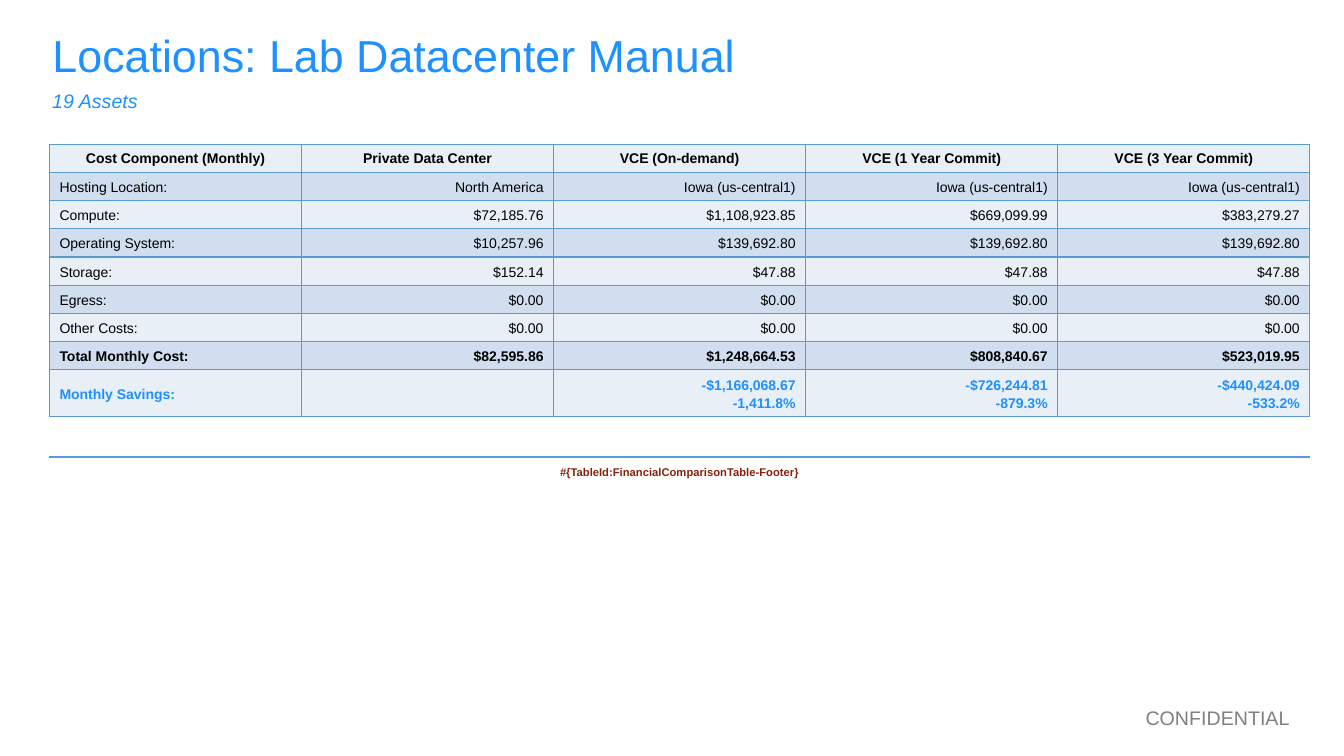
from lxml.etree import SubElement
from pptx import Presentation
from pptx.dml.color import RGBColor
from pptx.enum.text import MSO_ANCHOR, MSO_AUTO_SIZE, PP_ALIGN
from pptx.oxml.ns import qn
from pptx.util import Inches, Pt

BLUE = RGBColor(0x1E, 0x90, 0xFF)
BLACK = RGBColor(0x00, 0x00, 0x00)
WHITE = RGBColor(0xFF, 0xFF, 0xFF)
GRAY = RGBColor(0x80, 0x80, 0x80)
BROWN = RGBColor(0x85, 0x20, 0x0C)
BORDER = RGBColor(0x5B, 0x9B, 0xD5)
BANDS = [RGBColor(0xE9, 0xEF, 0xF7), RGBColor(0xD0, 0xDE, 0xEF)]
NO_STYLE = "{2D5ABB26-0587-4C30-8999-92F81FD0307C}"

ROW_H, SAVINGS_H, GAP_H, COL_W = 0.28, 0.46, 0.4, 2.5
COSTS = [
    ["Cost Component (Monthly)", "Private Data Center", "VCE (On-demand)",
     "VCE (1 Year Commit)", "VCE (3 Year Commit)"],
    ["Hosting Location:", "North America"] + ["Iowa (us-central1)"] * 3,
    ["Compute:", "$72,185.76", "$1,108,923.85", "$669,099.99", "$383,279.27"],
    ["Operating System:", "$10,257.96"] + ["$139,692.80"] * 3,
    ["Storage:", "$152.14"] + ["$47.88"] * 3,
    ["Egress:"] + ["$0.00"] * 4,
    ["Other Costs:"] + ["$0.00"] * 4,
    ["Total Monthly Cost:", "$82,595.86", "$1,248,664.53", "$808,840.67", "$523,019.95"],
    ["Monthly Savings:", "", "-$1,166,068.67\n-1,411.8%", "-$726,244.81\n-879.3%",
     "-$440,424.09\n-533.2%"],
]
TOTAL_ROW, SAVINGS_ROW = 7, 8
TABLE_NOTE = "#{TableId:FinancialComparisonTable-Footer}"


def format_text(tf, size, color, align=PP_ALIGN.LEFT, bold=False, italic=False, spacing=1.0):
    for p in tf.paragraphs:
        p.alignment = align
        p.line_spacing = spacing
        for r in p.runs:
            font = r.font
            font.name, font.size, font.bold, font.italic = "Arial", Pt(size), bold, italic
            font.color.rgb = color


def fill_text(sp, box, text, inset, size, color, **style):
    sp.left, sp.top, sp.width, sp.height = [Inches(v) for v in box]
    tf = sp.text_frame
    tf.text = text
    tf.word_wrap = True
    tf.auto_size = MSO_AUTO_SIZE.NONE
    tf.vertical_anchor = MSO_ANCHOR.TOP
    tf.margin_left = tf.margin_right = Inches(0.1)
    tf.margin_top = tf.margin_bottom = Inches(inset)
    format_text(tf, size, color, **style)


def add_heading(slide, left, top, width):
    # Title and the asset count beneath it
    fill_text(slide.shapes.title, (left, top, width, 0.88),
              "Locations: Lab Datacenter Manual", 0.1, 32, BLUE)
    fill_text(slide.shapes.add_textbox(0, 0, 0, 0), (left, top + 0.61, width, 0.88),
              "19 Assets", 0.1, 14, BLUE, italic=True)


def set_borders(cell, sides):
    tcPr = cell._tc.get_or_add_tcPr()
    for side in sides:
        ln = SubElement(tcPr, qn("a:ln" + side), w=str(Pt(1)))
        SubElement(SubElement(ln, qn("a:solidFill")), qn("a:srgbClr"), val=str(BORDER))


def fill_cell(cell, text, color, sides=""):
    set_borders(cell, sides)
    cell.fill.solid()
    cell.fill.fore_color.rgb = color
    cell.vertical_anchor = MSO_ANCHOR.MIDDLE
    cell.margin_left = cell.margin_right = Inches(0.1)
    cell.margin_top = cell.margin_bottom = Inches(0.05)
    cell.text_frame.text = text


def add_cost_table(slide, left, top):
    heights = [ROW_H] * SAVINGS_ROW + [SAVINGS_H, GAP_H, ROW_H]
    n_cols = len(COSTS[0])
    table = slide.shapes.add_table(
        len(heights), n_cols, Inches(left), Inches(top),
        Inches(COL_W * n_cols), Inches(sum(heights))).table
    table.first_row = table.horz_banding = False
    table._tbl.tblPr.find(qn("a:tableStyleId")).text = NO_STYLE
    for row, height in zip(table.rows, heights):
        row.height = Inches(height)

    # Cost rows
    for i, values in enumerate(COSTS):
        for j, value in enumerate(values):
            cell = table.cell(i, j)
            fill_cell(cell, value, BANDS[i % 2], "LRTB")
            if i == 0:
                align = PP_ALIGN.CENTER
            else:
                align = PP_ALIGN.RIGHT if j else PP_ALIGN.LEFT
            format_text(cell.text_frame, 10, BLUE if i == SAVINGS_ROW else BLACK, align,
                        bold=i in (0, TOTAL_ROW, SAVINGS_ROW), spacing=1.15 if i else 1.0)

    # Blank spacer row and the note row, each merged across
    gap_row, note_row = len(COSTS), len(COSTS) + 1
    for i, sides in ((gap_row, "T"), (note_row, "")):
        for j in range(n_cols):
            fill_cell(table.cell(i, j), "", WHITE, sides)
        table.cell(i, 0).merge(table.cell(i, n_cols - 1))
    note = table.cell(note_row, 0).text_frame
    note.text = TABLE_NOTE
    format_text(note, 8, BROWN, PP_ALIGN.CENTER, bold=True, spacing=1.15)


def add_footer(slide, left, top, width, height):
    fill_text(slide.shapes.add_textbox(0, 0, 0, 0), (left, top, width, height),
              "CONFIDENTIAL", 0.05, 14, GRAY, align=PP_ALIGN.RIGHT)


def main():
    prs = Presentation()
    prs.slide_width, prs.slide_height = Inches(13.33), Inches(7.5)
    slide = prs.slides.add_slide(prs.slide_layouts.get_by_name("Title Only"))
    add_cost_table(slide, 0.49, 1.43)
    add_footer(slide, 10.67, 6.95, 2.22, 0.34)
    add_heading(slide, 0.42, 0.17, 12.5)
    prs.save("out.pptx")


if __name__ == "__main__":
    main()
